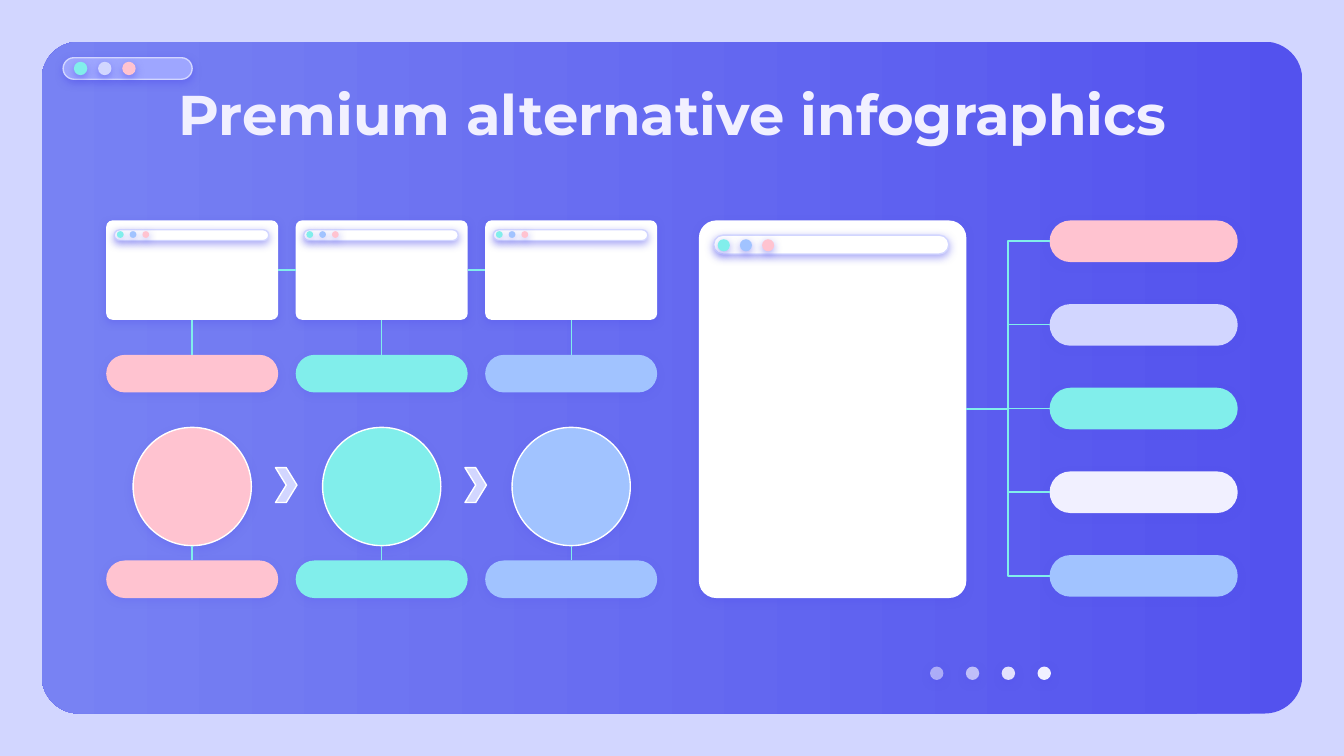
from lxml import etree
from pptx import Presentation
from pptx.dml.color import RGBColor
from pptx.enum.shapes import MSO_CONNECTOR as LINK, MSO_SHAPE as SHAPE
from pptx.enum.text import MSO_ANCHOR, MSO_AUTO_SIZE, PP_ALIGN
from pptx.oxml.ns import qn
from pptx.util import Inches, Pt

INDIGO = RGBColor(0x53, 0x52, 0xEE)
PERIWINKLE = RGBColor(0x78, 0x82, 0xF3)
LILAC = RGBColor(0x9E, 0xA6, 0xFF)
LAVENDER = RGBColor(0xD2, 0xD6, 0xFF)
PALE = RGBColor(0xF1, 0xF0, 0xFF)
WHITE = RGBColor(0xFF, 0xFF, 0xFF)
MINT = RGBColor(0x81, 0xEE, 0xEB)
PINK = RGBColor(0xFF, 0xC3, 0xD0)
BLUE = RGBColor(0xA1, 0xC3, 0xFF)

deck = Presentation()
deck.slide_width = Inches(10)
deck.slide_height = Inches(10) * 9 // 16
page = deck.slides.add_slide(deck.slide_layouts[5])
page.background.fill.solid()
page.background.fill.fore_color.rgb = LAVENDER


def add_figure(kind, left, top, width, height, fill, line=None, shadow=0, corner=None, alpha=100):
    """Draw a preset shape; shadow and alpha are opacities in percent."""
    figure = page.shapes.add_shape(kind, Inches(left), Inches(top), Inches(width), Inches(height))
    figure.fill.solid()
    figure.fill.fore_color.rgb = fill
    if alpha < 100:
        color = figure._element.spPr.find(f"{qn('a:solidFill')}/{qn('a:srgbClr')}")
        etree.SubElement(color, qn("a:alpha"), val=str(alpha * 1000))
    if line is None:
        figure.line.fill.background()
    else:
        figure.line.color.rgb = line
        figure.line.width = Pt(0.75)
    if corner is not None:
        figure.adjustments[0] = corner
    figure.shadow.inherit = False
    if shadow:
        effects = figure._element.spPr.find(qn("a:effectLst"))
        outer = etree.SubElement(effects, qn("a:outerShdw"), blurRad=str(Pt(4.5)), dist=str(Pt(1.5)),
                                 dir="5400000", algn="bl", rotWithShape="0")
        color = etree.SubElement(outer, qn("a:srgbClr"), val=str(INDIGO))
        etree.SubElement(color, qn("a:alpha"), val=str(shadow * 1000))
    return figure


def add_link(kind, start, start_site, end, end_site):
    """Join two figures, starting at the bottom middle when start_site is None."""
    x, y = start.left + start.width // 2, start.top + start.height
    link = page.shapes.add_connector(kind, x, y, x, y)
    if start_site is not None:
        link.begin_connect(start, start_site)
    link.end_connect(end, end_site)
    link.line.color.rgb = MINT
    link.line.width = Pt(0.75)
    etree.SubElement(link._element.spPr, qn("a:effectLst"))


# Backdrop with its window bar and page dots
backdrop = add_figure(SHAPE.ROUNDED_RECTANGLE, 0.31, 0.31, 9.38, 5, INDIGO, corner=0.056)
backdrop.fill.gradient()
backdrop.fill.gradient_angle = 180
for stop, color in zip(backdrop.fill.gradient_stops, (INDIGO, PERIWINKLE)):
    stop.color.rgb = color
add_figure(SHAPE.ROUNDED_RECTANGLE, 0.47, 0.43, 0.96, 0.16, LILAC, LAVENDER, 50, 0.5)
for i, color in enumerate((MINT, LAVENDER, PINK)):
    add_figure(SHAPE.OVAL, 0.55 + 0.18 * i, 0.46, 0.1, 0.1, color, shadow=50)
for i, alpha in enumerate((54, 67, 90, 100)):
    add_figure(SHAPE.OVAL, 6.92 + 0.8 / 3 * i, 4.96, 0.1, 0.1, PALE, shadow=50, alpha=alpha)

# Title, brought in front of the backdrop
title = page.shapes.title
page.shapes._spTree.append(title._element)
title.left, title.top, title.width, title.height = Inches(0.79), Inches(0.49), Inches(8.43), Inches(0.63)
frame = title.text_frame
frame.text = "Premium alternative infographics"
frame.word_wrap = True
frame.auto_size = MSO_AUTO_SIZE.NONE
frame.vertical_anchor = MSO_ANCHOR.TOP
frame.margin_left = frame.margin_right = frame.margin_top = frame.margin_bottom = Inches(0.1)
para = frame.paragraphs[0]
para.alignment = PP_ALIGN.CENTER
font = para.runs[0].font
font.name, font.size, font.bold = "Montserrat", Pt(30), True
font.color.rgb = PALE

# Browser windows: three small ones and the large panel
TOP = 1.64
COLUMN_STEP = 1.41
SMALL = (1.28, 0.74, 0.06, 0.07, 1.15, 0.08, 0.08, 0.08, 0.05, 0.095)
LARGE = (1.99, 2.81, 0.11, 0.11, 1.75, 0.14, 0.14, 0.14, 0.09, 0.165)
windows = []
for left, sizes in [(0.79 + COLUMN_STEP * i, SMALL) for i in range(3)] + [(5.2, LARGE)]:
    width, height, bar_x, bar_y, bar_width, bar_height, dot_x, dot_y, dot, dot_step = sizes
    windows.append(add_figure(SHAPE.ROUNDED_RECTANGLE, left, TOP, width, height, WHITE, shadow=34, corner=0.065))
    add_figure(SHAPE.ROUNDED_RECTANGLE, left + bar_x, TOP + bar_y, bar_width, bar_height, WHITE, LAVENDER, 50, 0.5)
    for i, color in enumerate((MINT, BLUE, PINK)):
        add_figure(SHAPE.OVAL, left + dot_x + dot_step * i, TOP + dot_y, dot, dot, color, shadow=50)
*small_windows, panel = windows

# Columns: window with label, circle with label
for i, (window, color) in enumerate(zip(small_windows, (PINK, MINT, BLUE))):
    left = 0.79 + COLUMN_STEP * i
    label = add_figure(SHAPE.ROUNDED_RECTANGLE, left, 2.64, 1.28, 0.28, color, shadow=18, corner=0.5)
    add_link(LINK.STRAIGHT, window, 2, label, 0)
    circle = add_figure(SHAPE.OVAL, left + 0.2, 3.18, 0.88, 0.88, color, WHITE, 22)
    label = add_figure(SHAPE.ROUNDED_RECTANGLE, left, 4.17, 1.28, 0.28, color, shadow=18, corner=0.5)
    add_link(LINK.STRAIGHT, circle, None, label, 0)
    if i < 2:
        add_link(LINK.STRAIGHT, window, 3, small_windows[i + 1], 1)
        add_figure(SHAPE.CHEVRON, left + 1.26, 3.48, 0.16, 0.26, LAVENDER, WHITE, corner=0.5)

# Branches from the panel
branch_step = (4.13 - TOP) / 4
for i, color in enumerate((PINK, LAVENDER, MINT, PALE, BLUE)):
    branch = add_figure(SHAPE.ROUNDED_RECTANGLE, 7.81, TOP + branch_step * i, 1.4, 0.31, color, shadow=18, corner=0.5)
    add_link(LINK.ELBOW, panel, 3, branch, 1)

deck.save("out.pptx")
